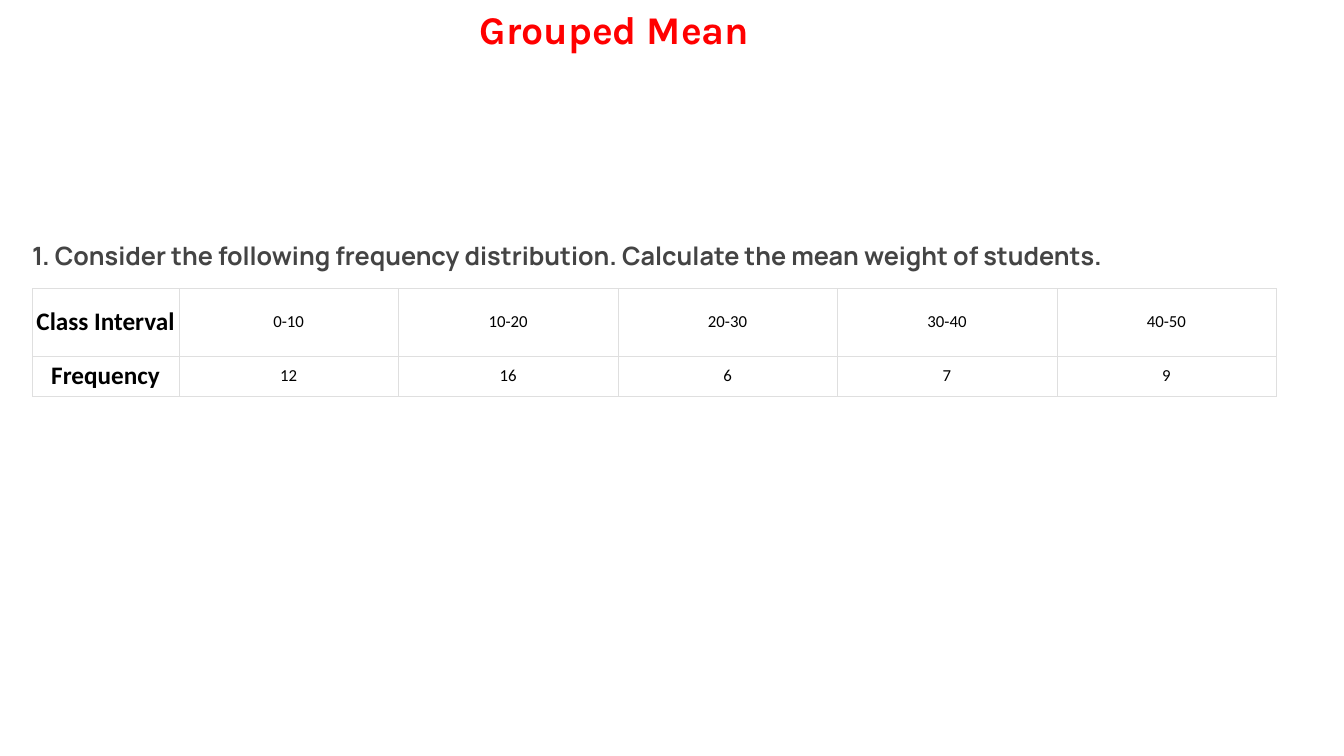
"""Build the Grouped Mean slide with its frequency table."""
from lxml import etree
from pptx import Presentation
from pptx.dml.color import RGBColor
from pptx.enum.text import MSO_ANCHOR, PP_ALIGN
from pptx.oxml.ns import qn
from pptx.util import Cm, Pt

LEFT, CENTER = PP_ALIGN.LEFT, PP_ALIGN.CENTER
MIDDLE = MSO_ANCHOR.MIDDLE
BORDER_WIDTH = Pt(0.15)
BORDER_COLOR = "DFDFDF"
MARGIN_LEFT = Cm(0.81)


def color(value):
    return RGBColor.from_string(value)


def write(frame, text, size, font="Calibri", fill="000000", bold=True, align=LEFT):
    frame.word_wrap = True
    paragraph = frame.paragraphs[0]
    paragraph.alignment = align
    run = paragraph.add_run()
    run.text = text
    run.font.size = Pt(size)
    run.font.name = font
    run.font.bold = bold
    run.font.color.rgb = color(fill)


presentation = Presentation()
presentation.slide_width = Cm(33.87)
presentation.slide_height = Cm(19.05)
slide = presentation.slides.add_slide(presentation.slide_layouts[6])

headings = [
    (Cm(12.09), Cm(0.13), Cm(9.68), Cm(1.19), "Grouped Mean",
     dict(size=28, font="Karla", fill="FF0000")),
    (MARGIN_LEFT, Cm(6.05), Cm(31.32), Cm(6.15),
     "1. Consider the following frequency distribution. "
     "Calculate the mean weight of students.",
     dict(size=18, font="Manrope", fill="444444")),
]
for left, top, width, height, text, style in headings:
    frame = slide.shapes.add_textbox(left, top, width, height).text_frame
    frame.margin_left = frame.margin_right = 0
    frame.margin_top = frame.margin_bottom = 0
    write(frame, text, **style)

frequency_rows = [
    ["Class Interval", "0-10", "10-20", "20-30", "30-40", "40-50"],
    ["Frequency", "12", "16", "6", "7", "9"],
]
row_heights = [Cm(1.7), Cm(1.02)]
column_widths = [Cm(3.7)] + [Cm(5.53)] * 5
table = slide.shapes.add_table(
    len(row_heights), len(column_widths), MARGIN_LEFT, Cm(7.27),
    sum(column_widths), sum(row_heights)).table
table.first_row = False
table.horz_banding = False
for column, width in zip(table.columns, column_widths):
    column.width = width

for row, height, values in zip(table.rows, row_heights, frequency_rows):
    row.height = height
    for index, (cell, value) in enumerate(zip(row.cells, values)):
        is_label = index == 0
        cell.margin_left = cell.margin_right = Cm(0.1 if is_label else 0.18)
        cell.margin_top = cell.margin_bottom = Cm(0.08 if is_label else 0.25)
        cell.vertical_anchor = MIDDLE
        properties = cell._tc.get_or_add_tcPr()
        for side in ("a:lnL", "a:lnR", "a:lnT", "a:lnB"):
            line = etree.SubElement(properties, qn(side), w=str(BORDER_WIDTH))
            line_fill = etree.SubElement(line, qn("a:solidFill"))
            etree.SubElement(line_fill, qn("a:srgbClr"), val=BORDER_COLOR)
        cell.fill.solid()
        cell.fill.fore_color.rgb = color("FFFFFF")
        write(cell.text_frame, value, size=18 if is_label else 12,
              bold=is_label, align=CENTER)

presentation.save("out.pptx")
